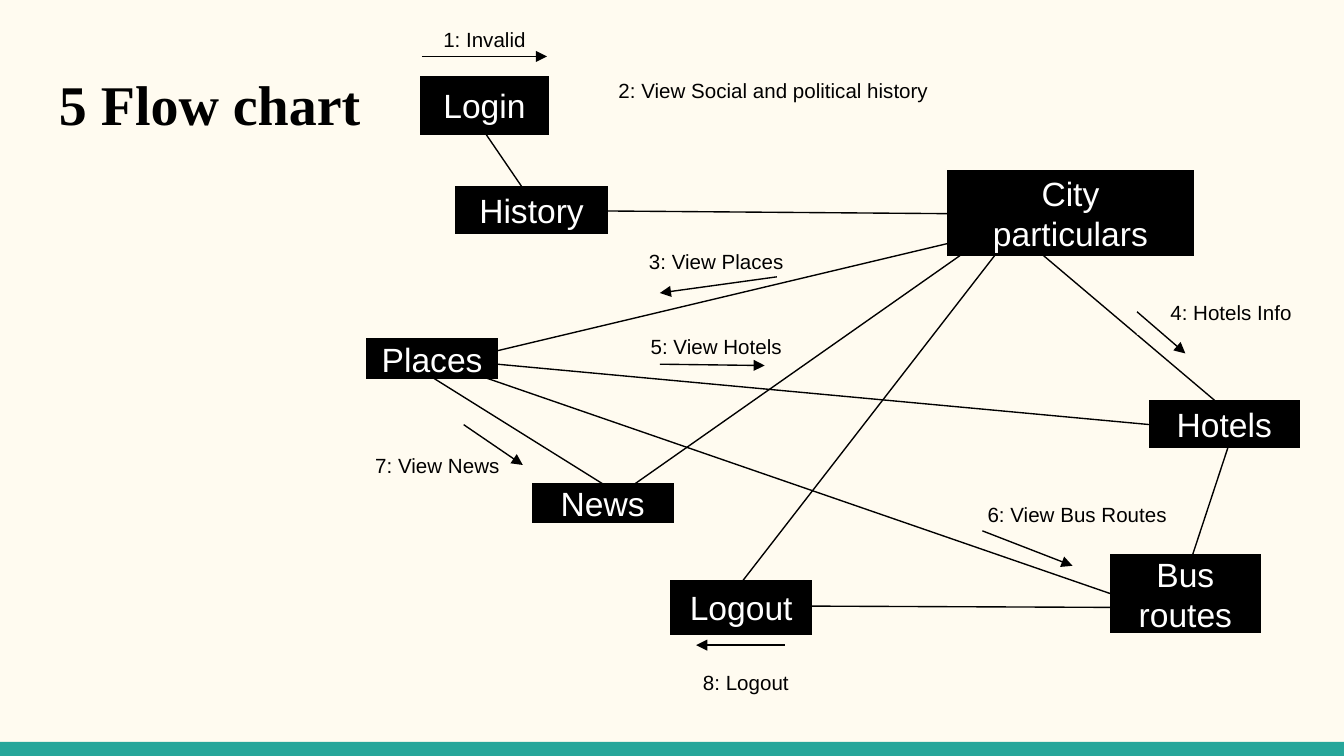
from lxml import etree
from pptx import Presentation
from pptx import util as u
from pptx.dml.color import RGBColor
from pptx.enum import shapes, text
from pptx.oxml.ns import qn

COLORS = {"paper": "FFFBF0", "ink": "000000", "light": "FFFFFF", "footer": "26A69A"}

STEPS = [
    ("Login", 3.14, 0.58, 0.93, 0.41),
    ("History", 3.4, 1.4, 1.11, 0.33),
    ("Places", 2.74, 2.53, 0.95, 0.28),
    ("City particulars", 7.06, 1.28, 1.81, 0.61),
    ("News", 3.97, 3.61, 1.03, 0.27),
    ("Hotels", 8.56, 2.99, 1.1, 0.33),
    ("Bus routes", 8.27, 4.14, 1.1, 0.56),
    ("Logout", 5, 4.33, 1.03, 0.38),
]

LINKS = [
    (3.61, 0.99, 3.89, 1.4),
    (4.5, 1.57, 7.06, 1.59),
    (7.06, 1.81, 3.7, 2.61),
    (7.16, 1.89, 4.71, 3.61),
    (7.75, 1.89, 9.05, 2.99),
    (9.14, 3.32, 8.87, 4.14),
    (7.41, 1.89, 5.52, 4.33),
    (3.22, 2.81, 4.5, 3.61),
    (3.61, 2.81, 8.27, 4.42),
    (3.7, 2.71, 8.56, 3.16),
    (6.03, 4.51, 8.33, 4.52),
]

MESSAGES = [
    ("1: Invalid", 2.81, 0.19, 1.59, 0.2),
    ("2: View Social and political history", 4.2, 0.42, 3.11, 0.5),
    ("3: View Places", 4.71, 1.89, 1.24, 0.11),
    ("5: View Hotels", 4.71, 2.43, 1.24, 0.29),
    ("6: View Bus Routes", 7.24, 3.61, 1.55, 0.43),
    ("4: Hotels Info", 8.46, 2.16, 1.4, 0.33),
    ("7: View News", 2.62, 3.32, 1.27, 0.29),
    ("8: Logout", 4.66, 4.89, 1.78, 0.38),
]

DIRECTIONS = [
    (3.14, 0.42, 4.07, 0.42),
    (5.84, 4.8, 5.18, 4.8),
    (5.78, 2.06, 4.91, 2.18),
    (3.45, 3.16, 3.89, 3.46),
    (4.91, 2.71, 5.69, 2.72),
    (8.46, 2.32, 8.82, 2.63),
    (7.31, 3.95, 7.98, 4.21),
]


def color(name):
    return RGBColor.from_string(COLORS[name])


def set_font(paragraph, name, size, ink, bold=False):
    font = paragraph.font
    font.name, font.size, font.bold = name, u.Pt(size), bold
    font.color.rgb = color(ink)


def set_line(part, width, tag, **attributes):
    part.line.color.rgb = color("ink")
    part.line.width = u.Pt(width)
    outline = part._element.spPr.find(qn("a:ln"))
    etree.SubElement(outline, qn(tag), **attributes)


def add_block(slide, place, fill):
    block = slide.shapes.add_shape(shapes.MSO_SHAPE.RECTANGLE, *map(u.Inches, place))
    block.shadow.inherit = False
    block.fill.solid()
    block.fill.fore_color.rgb = color(fill)
    block.line.fill.background()
    return block


def add_caption(block, words, size, ink):
    frame = block.text_frame
    frame.word_wrap = True
    frame.vertical_anchor = text.MSO_ANCHOR.MIDDLE
    frame.margin_left = frame.margin_right = u.Inches(0.09)
    caption = frame.paragraphs[0]
    caption.text = words
    caption.alignment = text.PP_ALIGN.CENTER
    set_font(caption, "Arial", size, ink)


def add_step(slide, name, place):
    step = add_block(slide, place, "ink")
    set_line(step, 2, "a:miter", lim="800000")
    add_caption(step, name, 18, "light")


def add_link(slide, ends, head="none"):
    link = slide.shapes.add_connector(shapes.MSO_CONNECTOR.STRAIGHT, *map(u.Inches, ends))
    set_line(link, 0.75, "a:tailEnd", type=head)
    etree.SubElement(link._element.spPr, qn("a:effectLst"))


def add_title(slide, words):
    box = slide.shapes.add_textbox(*map(u.Inches, (0.34, 0.42, 9.32, 0.67)))
    frame = box.text_frame
    frame.word_wrap = True
    frame.margin_left = frame.margin_right = u.Inches(0.1)
    frame.margin_top = frame.margin_bottom = u.Inches(0.1)
    title = frame.paragraphs[0]
    title.text = words
    set_font(title, "Times New Roman", 30, "ink", bold=True)


def main():
    deck = Presentation()
    deck.slide_width = u.Inches(10)
    deck.slide_height = u.Inches(10 * 9 / 16)
    slide = deck.slides.add_slide(deck.slide_layouts[6])
    slide.background.fill.solid()
    slide.background.fill.fore_color.rgb = color("paper")

    add_block(slide, (0, 5.52, 10, 0.11), "footer")
    add_title(slide, "5 Flow chart")
    for name, *place in STEPS:
        add_step(slide, name, place)
    for ends in LINKS:
        add_link(slide, ends)
    for message, *place in MESSAGES:
        add_caption(add_block(slide, place, "paper"), message, 11, "ink")
    for ends in DIRECTIONS:
        add_link(slide, ends, head="triangle")

    deck.save("out.pptx")


if __name__ == "__main__":
    main()
